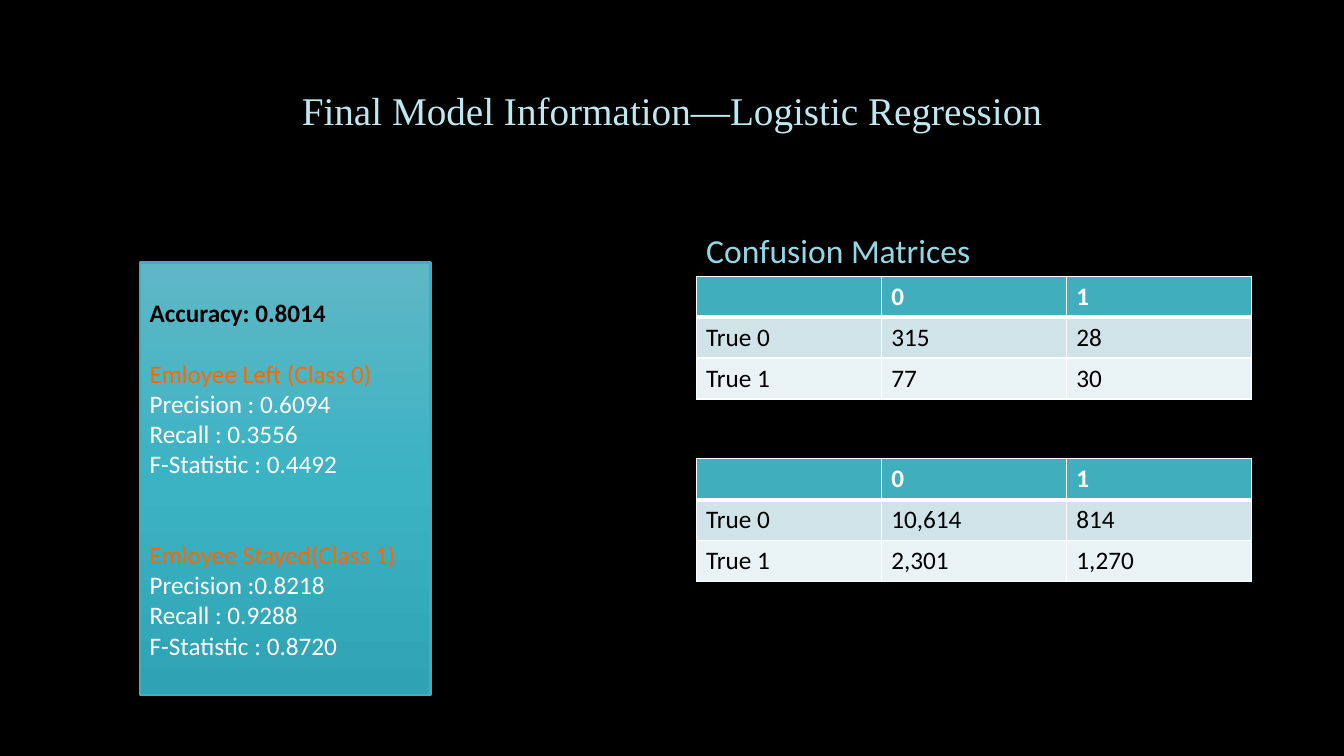
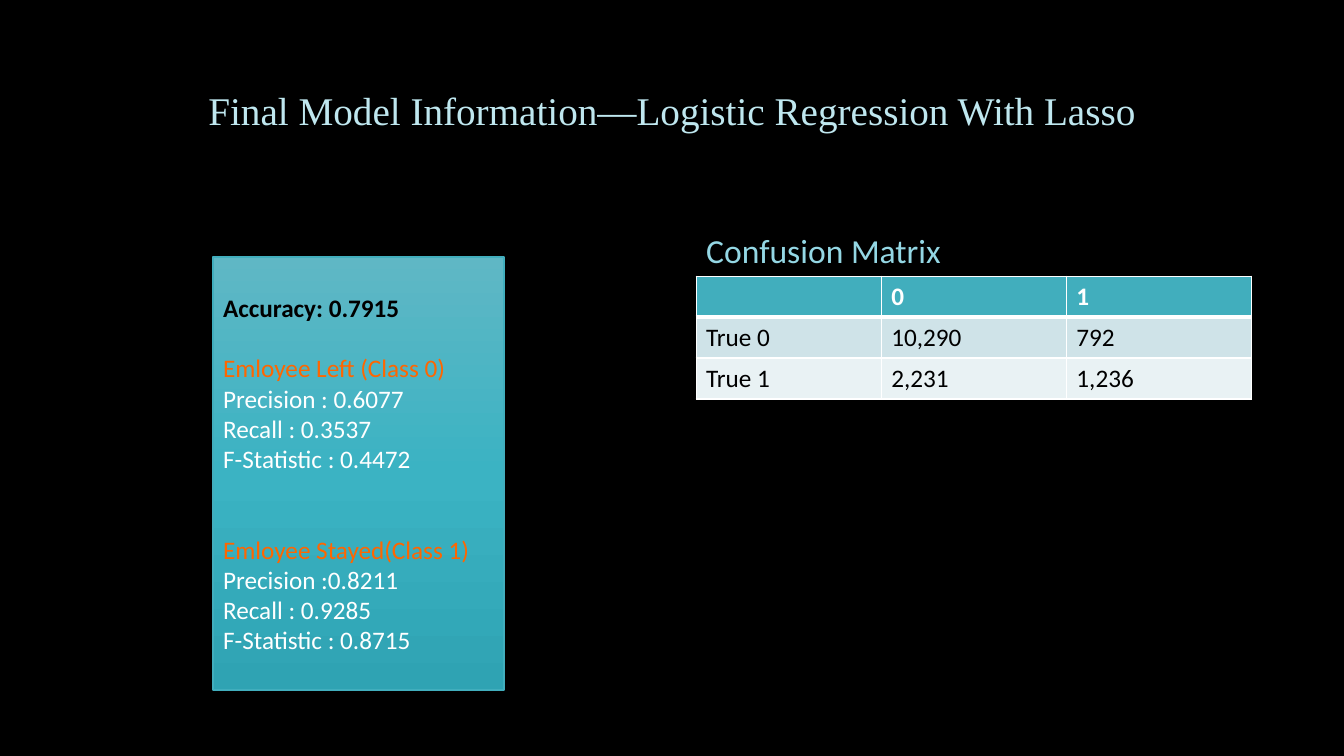
from lxml.etree import SubElement
from pptx import Presentation
from pptx.dml.color import RGBColor
from pptx.enum.shapes import MSO_SHAPE
from pptx.enum.text import MSO_ANCHOR as ANCHOR, MSO_AUTO_SIZE as AUTO, PP_ALIGN as ALIGN
from pptx.oxml.ns import qn
from pptx.util import Pt

PX = 9525  # EMU, 96 px to the inch
BLACK = RGBColor(0x00, 0x00, 0x00)
WHITE = RGBColor(0xFF, 0xFF, 0xFF)
PALE = RGBColor(0xBF, 0xE7, 0xEF)
SKY = RGBColor(0x94, 0xD7, 0xE4)
TEAL = RGBColor(0x41, 0xAE, 0xBD)
BAND_DARK = RGBColor(0xCF, 0xE3, 0xE8)
BAND_LIGHT = RGBColor(0xE9, 0xF2, 0xF4)
ORANGE = RGBColor(0xFF, 0x66, 0x00)
PANEL_STOPS = [
    (0, RGBColor(0x5F, 0xB7, 0xC5)),
    (50, RGBColor(0x3B, 0xB3, 0xC3)),
    (100, RGBColor(0x2F, 0xA3, 0xB3)),
]
ROW_FILLS = [TEAL, BAND_DARK, BAND_LIGHT]
LINE = 21.6  # height of one 18 pt line
RIGHT_X, RIGHT_W = 663, 529
TABLE_Y, TABLE_STEP, ROW_H = 263, 174, 39
PANEL_W, PANEL_H = 277, 412

SLIDES = [
    {
        "title": "Final Model Information—Logistic Regression",
        "heading": "Confusion Matrices",
        "matrices": [[("315", "28"), ("77", "30")],
                     [("10,614", "814"), ("2,301", "1,270")]],
        "panel_at": (133, 250),
        "accuracy": "0.8014",
        "left": ("0.6094", "0.3556", "0.4492"),
        "stayed": ("0.8218", "0.9288", "0.8720"),
    },
    {
        "title": "Final Model Information—Logistic Regression With Lasso",
        "heading": "Confusion Matrix",
        "matrices": [[("10,290", "792"), ("2,231", "1,236")]],
        "panel_at": (203, 245),
        "accuracy": "0.7915",
        "left": ("0.6077", "0.3537", "0.4472"),
        "stayed": ("0.8211", "0.9285", "0.8715"),
    },
]


def add_run(p, text, size, color, bold=False, font="Calibri"):
    r = p.add_run()
    r.text = text
    r.font.name, r.font.size, r.font.bold = font, Pt(size), bold
    r.font.color.rgb = color


def place(sp, x, y, w, h):
    sp.left, sp.top, sp.width, sp.height = (v * PX for v in (x, y, w, h))


prs = Presentation()
prs.slide_width, prs.slide_height = 1280 * PX, 720 * PX
bg = prs.slide_master.background.fill
bg.solid()
bg.fore_color.rgb = BLACK

for data in SLIDES:
    s = prs.slides.add_slide(prs.slide_layouts[1])

    title, heading = s.shapes.title, s.placeholders[1]
    place(title, 88, 38, 1104, 139)
    place(heading, RIGHT_X, 177, RIGHT_W, 86)
    for sp, anchor in ((title, ANCHOR.MIDDLE), (heading, ANCHOR.BOTTOM)):
        tf = sp.text_frame
        tf.vertical_anchor, tf.auto_size = anchor, AUTO.NONE
        tf.paragraphs[0].line_spacing = 0.9
    p = title.text_frame.paragraphs[0]
    p.alignment = ALIGN.CENTER
    add_run(p, data["title"], 28, PALE, font="Times New Roman")
    p = heading.text_frame.paragraphs[0]
    p.space_before = Pt(10)
    pPr = p._p.get_or_add_pPr()
    pPr.set("marL", "0")
    pPr.set("indent", "0")
    SubElement(pPr, qn("a:buNone"))
    add_run(p, data["heading"], 24, SKY)

    for i, matrix in enumerate(data["matrices"]):
        rows = [("", "0", "1")]
        rows += [(f"True {n}", *counts) for n, counts in enumerate(matrix)]
        table = s.shapes.add_table(
            3, 3, RIGHT_X * PX, (TABLE_Y + i * TABLE_STEP) * PX,
            RIGHT_W * PX, 3 * ROW_H * PX).table
        for r, row in enumerate(rows):
            table.rows[r].height = ROW_H * PX
            for c, text in enumerate(row):
                cell = table.cell(r, c)
                tcPr = cell._tc.get_or_add_tcPr()
                for side in "LRTB":
                    thick = (r, side) in ((0, "B"), (1, "T"))
                    ln = SubElement(tcPr, qn(f"a:ln{side}"), w=str(Pt(3 if thick else 1)))
                    SubElement(SubElement(ln, qn("a:solidFill")), qn("a:srgbClr"),
                               val=str(WHITE))
                cell.fill.solid()
                cell.fill.fore_color.rgb = ROW_FILLS[r]
                if text:
                    add_run(cell.text_frame.paragraphs[0], text, 18,
                            BLACK if r else WHITE, bold=r == 0)

    x, y = data["panel_at"]
    panel = s.shapes.add_shape(MSO_SHAPE.RECTANGLE, x * PX, y * PX,
                               PANEL_W * PX, PANEL_H * PX)
    panel.shadow.inherit = False
    panel.line.color.rgb, panel.line.width = TEAL, Pt(1.5)
    panel.fill.gradient()
    panel.fill.gradient_angle = 270
    stops = panel._element.spPr.find(".//" + qn("a:gsLst"))
    stops.clear()
    for pos, color in PANEL_STOPS:
        gs = SubElement(stops, qn("a:gs"), pos=str(pos * 1000))
        SubElement(gs, qn("a:srgbClr"), val=str(color))

    left, stayed = data["left"], data["stayed"]
    lines = [  # text, colour, blank lines above
        (f"Accuracy: {data['accuracy']}", BLACK, 0),
        ("Emloyee Left (Class 0)", ORANGE, 1),
        (f"Precision : {left[0]}", WHITE, 0),
        (f"Recall : {left[1]}", WHITE, 0),
        (f"F-Statistic : {left[2]}", WHITE, 0),
        ("Emloyee Stayed(Class 1)", ORANGE, 2),
        (f"Precision :{stayed[0]}", WHITE, 0),
        (f"Recall : {stayed[1]}", WHITE, 0),
        (f"F-Statistic : {stayed[2]}", WHITE, 0),
    ]
    tf = panel.text_frame
    tf.word_wrap, tf.vertical_anchor = True, ANCHOR.MIDDLE
    for i, (text, color, gap) in enumerate(lines):
        p = tf.add_paragraph() if i else tf.paragraphs[0]
        p.alignment, p.space_before = ALIGN.LEFT, Pt(gap * LINE)
        add_run(p, text, 18, color, bold=i == 0)

prs.save("out.pptx")
